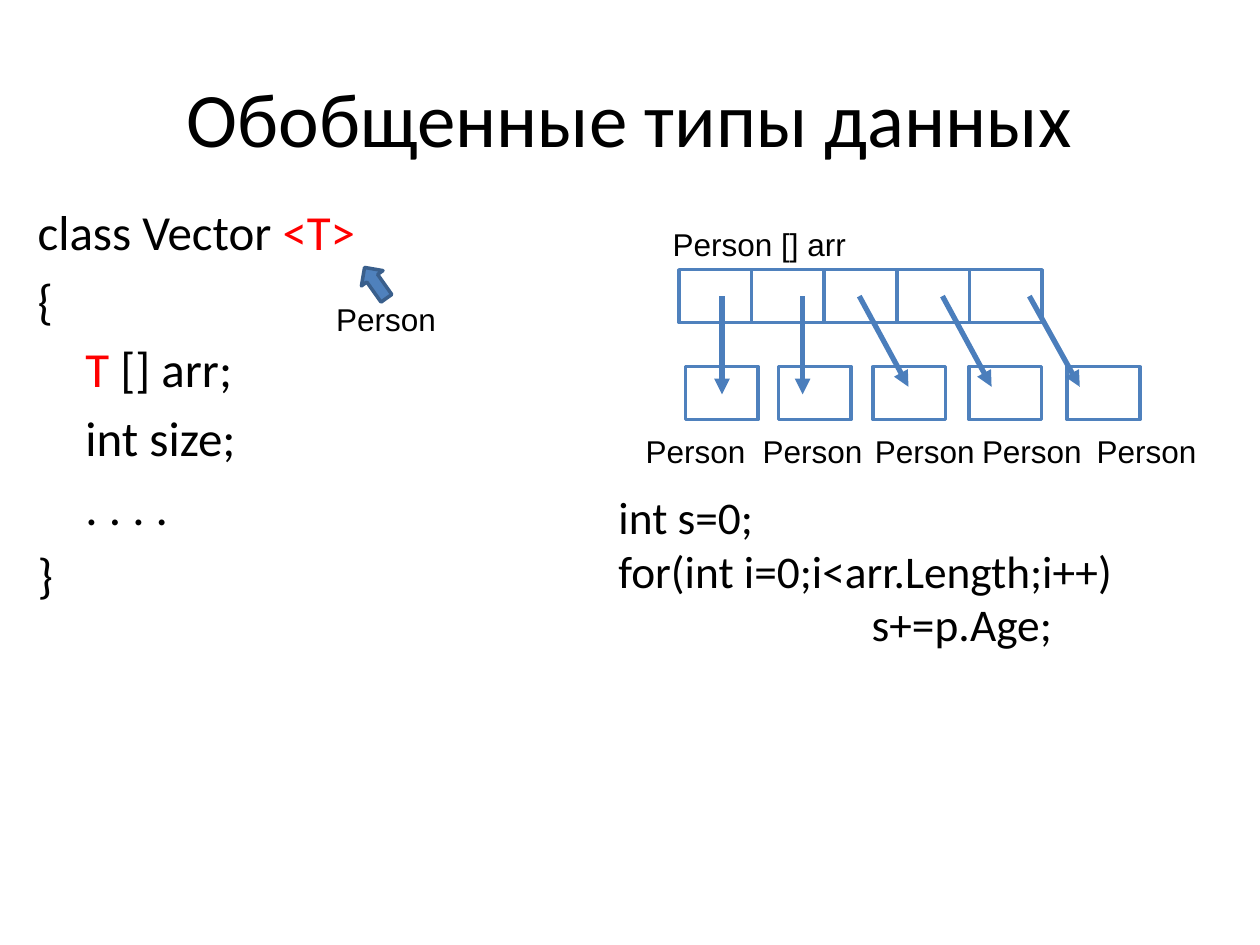
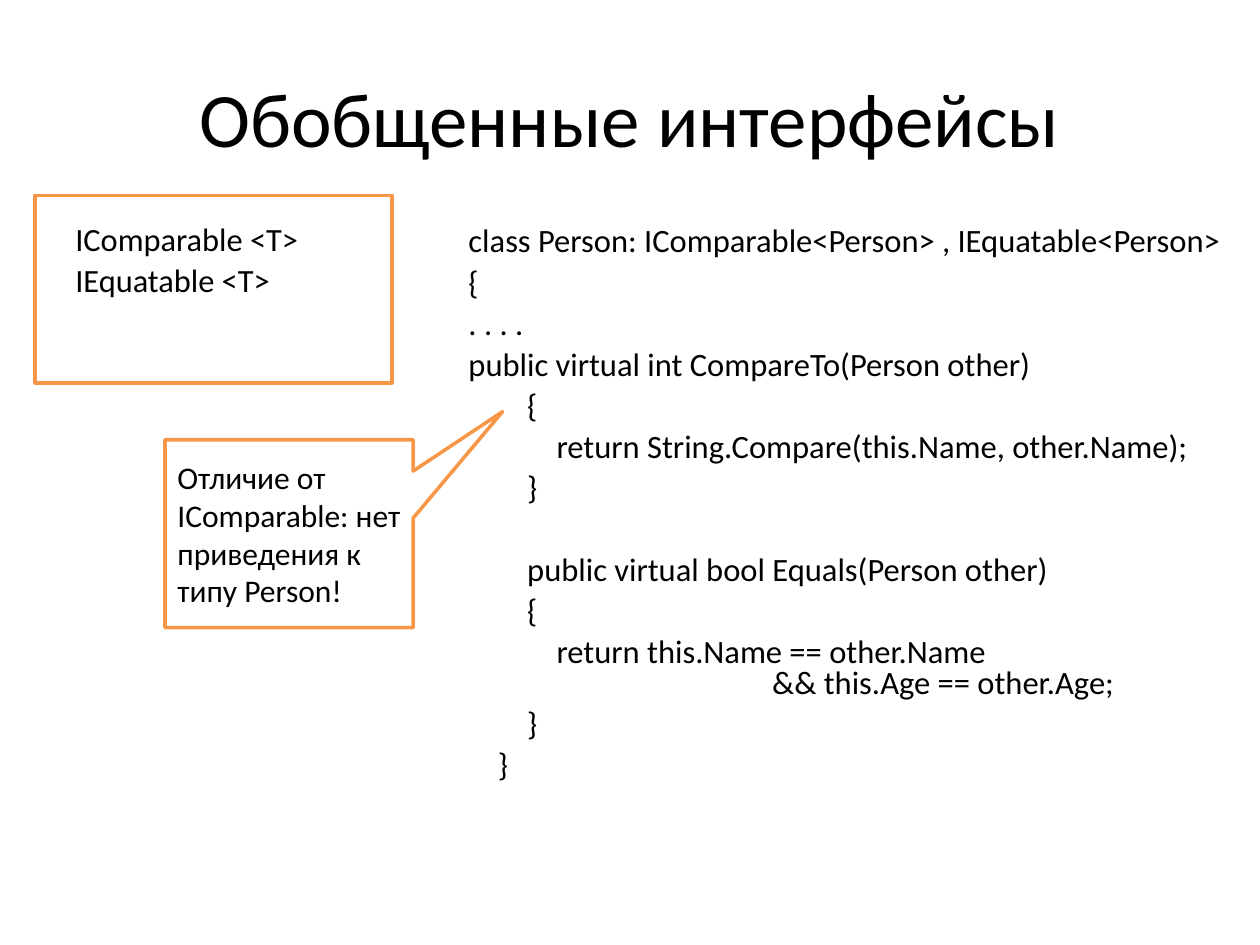
"""Build two slides on generic types and generic interfaces."""
import lxml.etree
import pptx
import pptx.dml.color
import pptx.enum.shapes
import pptx.enum.text
import pptx.oxml.ns
import pptx.util

Pt = pptx.util.Pt
Shape = pptx.enum.shapes.MSO_SHAPE
Align = pptx.enum.text.PP_ALIGN
Anchor = pptx.enum.text.MSO_ANCHOR
qn = pptx.oxml.ns.qn

theme = {
    "ink": "000000", "red": "FF0000", "white": "FFFFFF",
    "blue": "4F81BD", "navy": "3A5F8C", "arrow": "4B7EBC", "orange": "F79646",
    "edge": Pt(2), "shaft": Pt(3),
    "title": {"font": {"name": "Calibri", "size": Pt(44)},
              "par": {"alignment": Align.CENTER},
              "frame": {"vertical_anchor": Anchor.MIDDLE}},
    "class": {"font": {"name": "Calibri", "size": Pt(28)},
              "par": {"space_before": Pt(5.6)}},
    "loop": {"font": {"name": "Calibri", "size": Pt(25.9)},
             "par": {"space_before": Pt(5.6), "line_spacing": 0.8}},
    "code": {"font": {"name": "Calibri", "size": Pt(18.6)},
             "par": {"space_before": Pt(5.6), "line_spacing": 0.8}},
    "list": {"font": {"name": "Calibri", "size": Pt(18.5)},
             "par": {"space_before": Pt(5.6), "line_spacing": 0.8}},
    "label": {"font": {"name": "Arial", "size": Pt(18)}, "par": {}},
    "mid": {"font": {"name": "Arial", "size": Pt(18)},
            "par": {"alignment": Align.CENTER}},
    "note": {"font": {"name": "Calibri", "size": Pt(18)},
             "par": {"alignment": Align.LEFT},
             "frame": {"vertical_anchor": Anchor.MIDDLE}},
}

deck = pptx.Presentation()
deck.slide_width = pptx.util.Inches(10)
deck.slide_height = pptx.util.Inches(7.5)
col = deck.slide_width // 100
row = deck.slide_height // 75


def draw(slide, kind, area, edge, fill=None):
    """Add an outlined shape on the grid."""
    x, y, w, h = area
    shape = slide.shapes.add_shape(kind, int(x * col), int(y * row), int(w * col), int(h * row))
    shape.shadow.inherit = False
    shape.line.color.rgb = pptx.dml.color.RGBColor.from_string(theme[edge])
    shape.line.width = theme["edge"]
    if fill:
        shape.fill.solid()
        shape.fill.fore_color.rgb = pptx.dml.color.RGBColor.from_string(theme[fill])
    else:
        shape.fill.background()
    return shape


def write(slide, area, style, lines, shape=None):
    """Write (indent, text, space before) lines; bars switch to red and back."""
    if shape is None:
        x, y, w, h = area
        shape = slide.shapes.add_textbox(int(x * col), int(y * row), int(w * col), int(h * row))
    form = theme[style]
    frame = shape.text_frame
    for key, value in {"word_wrap": True, **form.get("frame", {})}.items():
        setattr(frame, key, value)
    for n, (indent, text, *gap) in enumerate(lines):
        par = frame.add_paragraph() if n else frame.paragraphs[0]
        for key, value in form["par"].items():
            setattr(par, key, value)
        if gap:
            par.space_before = Pt(gap[0])
        if indent:
            par._p.get_or_add_pPr().set("marL", str(int(indent * col)))
        for turn, part in enumerate(text.split("|")):
            if part:
                run = par.add_run()
                run.text = part
                for key, value in form["font"].items():
                    setattr(run.font, key, value)
                tint = theme["red" if turn % 2 else "ink"]
                run.font.color.rgb = pptx.dml.color.RGBColor.from_string(tint)


types, faces = [deck.slides.add_slide(deck.slide_layouts[6]) for _ in range(2)]
for slide, title in ((types, "Обобщенные типы данных"), (faces, "Обобщенные интерфейсы")):
    write(slide, (5, 3, 90, 12.5), "title", [(0, title)])

write(types, (48.1, 39.2, 46.9, 14), "loop", [
    (0, "int s=0;"),
    (0, "for(int i=0;i<arr.Length;i++)"),
    (20.1, "s+=p.Age;"),
])
write(types, (2, 15.5, 44.2, 49.5), "class", [
    (0, "class Vector |<T>"),
    (0, "{"),
    (3.8, "|T| [] arr;"),
    (3.8, "int size;"),
    (3.8, ". . . ."),
    (0, "}"),
])

wide, high = 5.76, 4.2
for n in range(5):
    draw(types, Shape.RECTANGLE, (53.9 + n * wide, 21.4, wide, high), "blue", "white")
for left in (54.4, 61.8, 69.3, 76.9, 84.7):
    draw(types, Shape.RECTANGLE, (left, 29.1, wide, high), "blue", "white")

for start, end, foot in ((57.3, 57.3, 31.3), (63.7, 63.7, 31.3), (68.2, 72.1, 30.7),
                         (74.8, 78.7, 30.7), (81.7, 85.7, 30.7)):
    line = types.shapes.add_connector(
        pptx.enum.shapes.MSO_CONNECTOR.STRAIGHT,
        int(start * col), int(23.5 * row), int(end * col), int(foot * row))
    line.line.color.rgb = pptx.dml.color.RGBColor.from_string(theme["arrow"])
    line.line.width = theme["shaft"]
    lxml.etree.SubElement(line.line._get_or_add_ln(), qn("a:tailEnd")).set("type", "triangle")
    lxml.etree.SubElement(line._element.spPr, qn("a:effectLst"))

write(types, (52.4, 17.4, 24.5, 4), "label", [(0, "Person [] arr")])
write(types, (25.7, 23.3, 22.4, 4), "label", [(0, "Person")])
for left in (50, 59.3, 68.2, 76.7, 85.8):
    write(types, (left, 33.8, 10.4, 4), "mid", [(0, "Person")])
draw(types, Shape.RIGHT_ARROW, (28.3, 21.4, 3, 2.1), "navy", "blue").rotation = 234.7

write(faces, (5, 17.5, 25.3, 7.4), "list", [(0, "IComparable <T>"), (0, "IEquatable <T>")])
step = 2.33
write(faces, (36.2, 17.6, 65.4, 49.5), "code", [
    (0, "class Person: IComparable<Person> , IEquatable<Person>"),
    (0, "{"),
    (0, ". . . ."),
    (0, "public virtual int CompareTo(Person other)"),
    (2 * step, "{"),
    (3 * step, "return String.Compare(this.Name, other.Name);"),
    (2 * step, "}"),
    (2 * step, "public virtual bool Equals(Person other)", 29),
    (2 * step, "{"),
    (3 * step, "return this.Name == other.Name"),
    (24.1, "&& this.Age == other.Age;", 0),
    (2 * step, "}"),
    (step, "}"),
])
draw(faces, Shape.RECTANGLE, (2.8, 15.5, 28.3, 14.9), "orange")
note = draw(faces, Shape.RECTANGULAR_CALLOUT, (13.1, 34.9, 19.7, 14.9), "orange", "white")
note.adjustments[0] = 0.86
note.adjustments[1] = -0.65
write(faces, None, "note",
      [(0, "Отличие от IComparable: нет приведения к типу Person!")], note)

deck.save("out.pptx")
